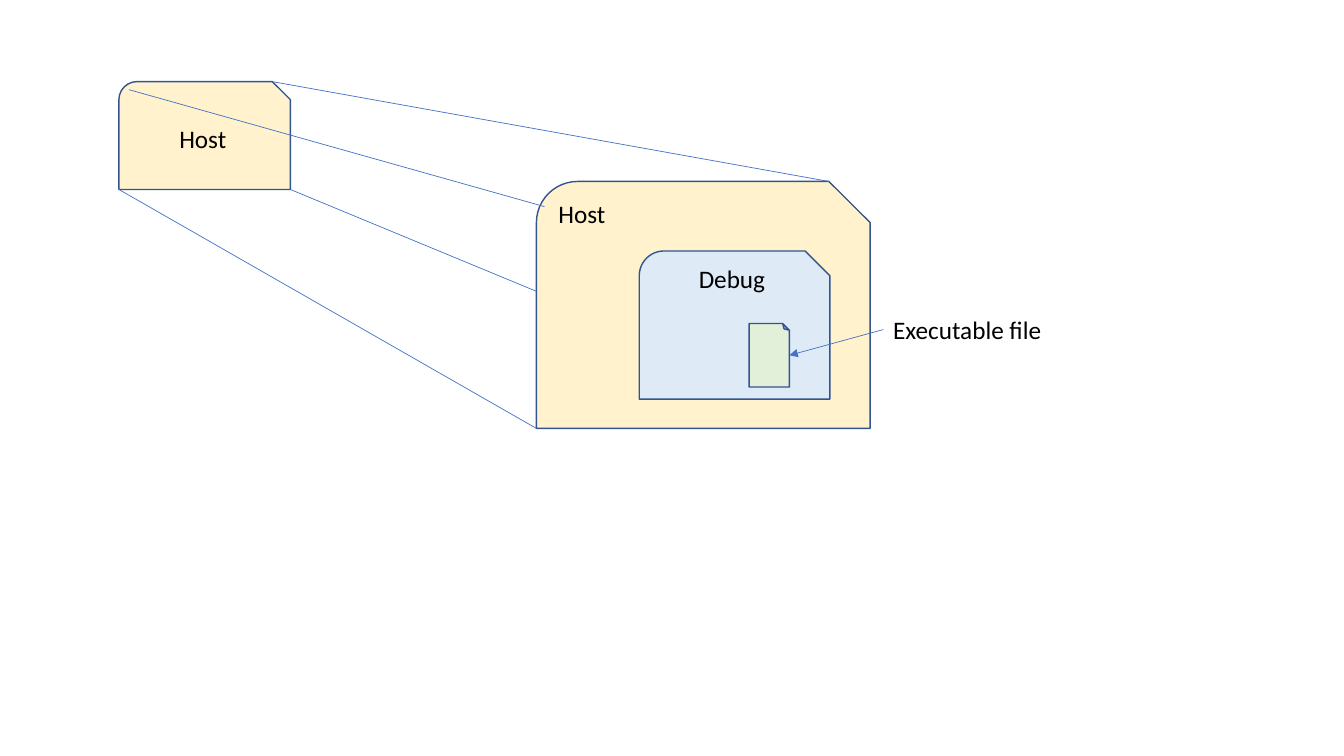
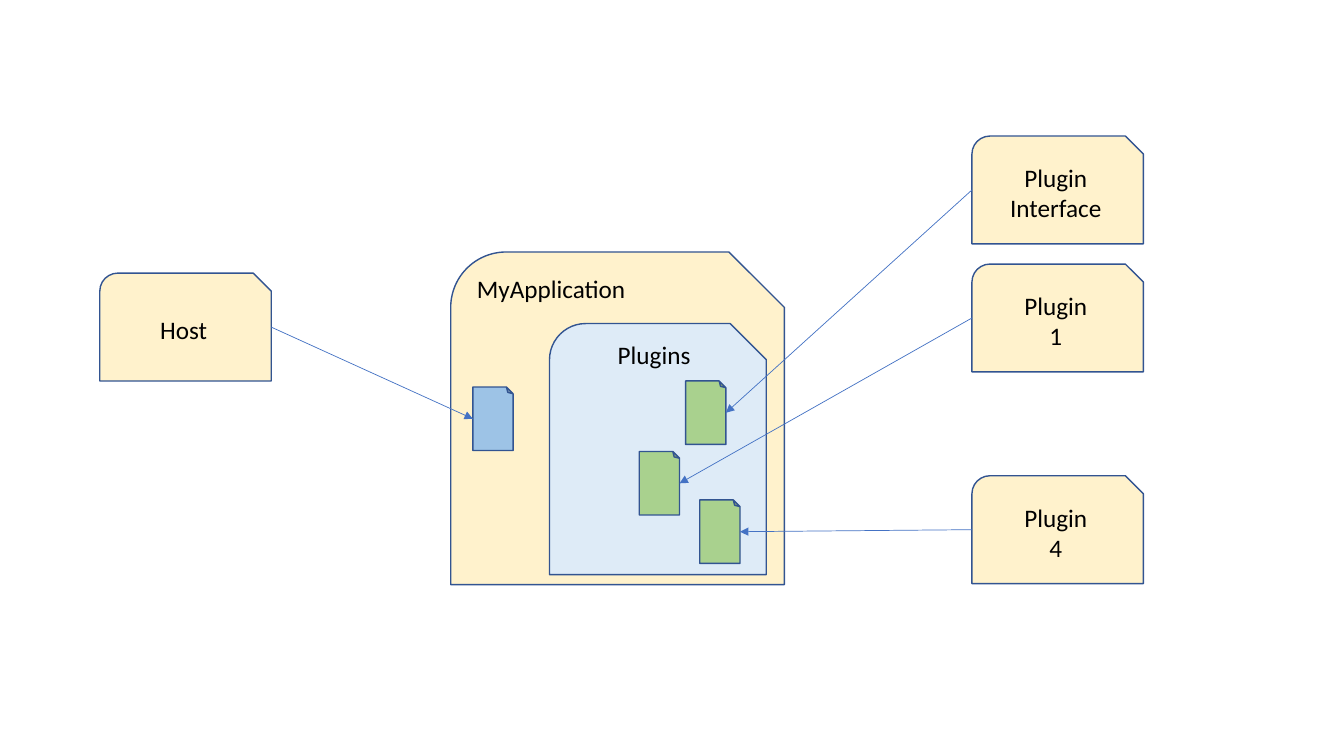
"""Build two slides showing how projects end up inside the application folder."""
from lxml import etree
from pptx import Presentation
from pptx.dml.color import RGBColor
from pptx.enum.shapes import MSO_CONNECTOR, MSO_SHAPE
from pptx.enum.text import MSO_ANCHOR, PP_ALIGN
from pptx.oxml.ns import qn
from pptx.util import Inches, Pt

COLORS = {
    "folder": "FFF2CC", "subfolder": "DEEBF7", "outline": "325491",
    "connector": "4472C4", "text": "000000", "executable": "E2F0D9",
    "host_file": "9DC3E6", "plugin_file": "A9D18E",
}
FONT, TEXT_SIZE = "Calibri", 18
PROJECT_SIZE, FILE_SIZE = (1.7, 1.07), (0.4, 0.63)
CORNER_SHARE = 1 / 6
LEFT, RIGHT = 1, 3
FOLDER_SITES = {LEFT: "2", RIGHT: "0"}

SMALL_HOST = (1.18, 0.81, *PROJECT_SIZE)
LARGE_HOST = (5.32, 1.8, 3.31, 2.45)
DEBUG_FOLDER = (6.34, 2.49, 1.89, 1.47)
EXECUTABLE = (7.43, 3.21)
CAPTION = ("Executable file", (8.76, 3.07, 1.78, 0.4))

APPLICATION = (4.47, 2.5, 3.31, 3.3)
PLUGINS_FOLDER = (5.45, 3.21, 2.15, 2.49)
PLUGIN_COLUMN = 9.64
DEPLOYMENTS = [
    ("Plugin Interface", (PLUGIN_COLUMN, 1.35), LEFT, (6.8, 3.78), "plugin_file"),
    ("Plugin\n1", (PLUGIN_COLUMN, 2.62), LEFT, (6.34, 4.48), "plugin_file"),
    ("Plugin\n4", (PLUGIN_COLUMN, 4.72), LEFT, (6.94, 4.96), "plugin_file"),
    ("Host", (0.99, 2.71), RIGHT, (4.69, 3.84), "host_file"),
]


def color(name):
    return RGBColor.from_string(COLORS[name])


def write(shape, text, align):
    shape.text_frame.word_wrap = True
    shape.text_frame.text = text
    for paragraph in shape.text_frame.paragraphs:
        paragraph.alignment = align
        paragraph.font.name = FONT
        paragraph.font.size = Pt(TEXT_SIZE)
        paragraph.font.color.rgb = color("text")


def add_box(slide, kind, box, fill):
    shape = slide.shapes.add_shape(kind, *map(Inches, box))
    shape.shadow.inherit = False
    shape.fill.solid()
    shape.fill.fore_color.rgb = color(fill)
    shape.line.color.rgb = color("outline")
    shape.line.width = Pt(1)
    return shape


def add_folder(slide, text, box, fill="folder", align=PP_ALIGN.CENTER, anchor=MSO_ANCHOR.TOP):
    folder = add_box(slide, MSO_SHAPE.SNIP_ROUND_RECTANGLE, box, fill)
    write(folder, text, align)
    folder.text_frame.vertical_anchor = anchor
    return folder


def add_project(slide, text, position):
    return add_folder(slide, text, (*position, *PROJECT_SIZE), anchor=MSO_ANCHOR.MIDDLE)


def add_file(slide, position, fill):
    file = add_box(slide, MSO_SHAPE.FOLDED_CORNER, (*position, *FILE_SIZE), fill)
    file._element.spPr.xfrm.set("flipV", "1")
    return file


def add_line(slide, start=(0, 0), end=(0, 0), arrow=False):
    line = slide.shapes.add_connector(MSO_CONNECTOR.STRAIGHT, *map(Inches, (*start, *end)))
    line.line.color.rgb = color("connector")
    line.line.width = Pt(0.5)
    if arrow:
        etree.SubElement(line.line._get_or_add_ln(), qn("a:tailEnd"), type="triangle")
    etree.SubElement(line._element.spPr, qn("a:effectLst"))
    return line


def zoom_ends(box):
    """Return the snipped corner and the bottom left corner of a folder."""
    left, top, width, height = box
    corner = CORNER_SHARE * min(width, height)
    return (left + width - corner, top), (left, top + height)


def build_output_slide(slide):
    add_project(slide, "Host", SMALL_HOST[:2])
    add_folder(slide, "Host", LARGE_HOST, align=PP_ALIGN.LEFT)
    add_folder(slide, "Debug", DEBUG_FOLDER, "subfolder")
    executable = add_file(slide, EXECUTABLE, "executable")

    zoom_lines = list(zip(zoom_ends(SMALL_HOST), zoom_ends(LARGE_HOST)))
    left, top, width, height = SMALL_HOST
    zoom_lines += [
        ((left + width, top + height), (LARGE_HOST[0], 2.89)),
        ((left + 0.1, top + 0.08), (LARGE_HOST[0] + 0.08, 2.05)),
    ]
    for start, end in zoom_lines:
        add_line(slide, start, end)

    text, box = CAPTION
    write(slide.shapes.add_textbox(*map(Inches, box)), text, PP_ALIGN.LEFT)
    arrow = add_line(slide, (box[0], box[1] + box[3] / 2), arrow=True)
    arrow.end_connect(executable, RIGHT)


def build_plugins_slide(slide):
    projects = [add_project(slide, text, place) for text, place, *_ in DEPLOYMENTS]
    add_folder(slide, "MyApplication", APPLICATION, align=PP_ALIGN.LEFT)
    add_folder(slide, "Plugins", PLUGINS_FOLDER, "subfolder")
    files = [add_file(slide, place, fill) for *_, place, fill in DEPLOYMENTS]
    for project, file, (_, _, side, *_) in zip(projects, files, DEPLOYMENTS):
        arrow = add_line(slide, arrow=True)
        arrow.begin_connect(project, side)
        arrow.end_connect(file, LEFT if side == RIGHT else RIGHT)
        arrow._element.find(".//" + qn("a:stCxn")).set("idx", FOLDER_SITES[side])


def main():
    presentation = Presentation()
    presentation.slide_width, presentation.slide_height = Inches(13.33), Inches(7.5)
    for build in (build_output_slide, build_plugins_slide):
        build(presentation.slides.add_slide(presentation.slide_layouts[6]))
    presentation.save("out.pptx")


if __name__ == "__main__":
    main()
